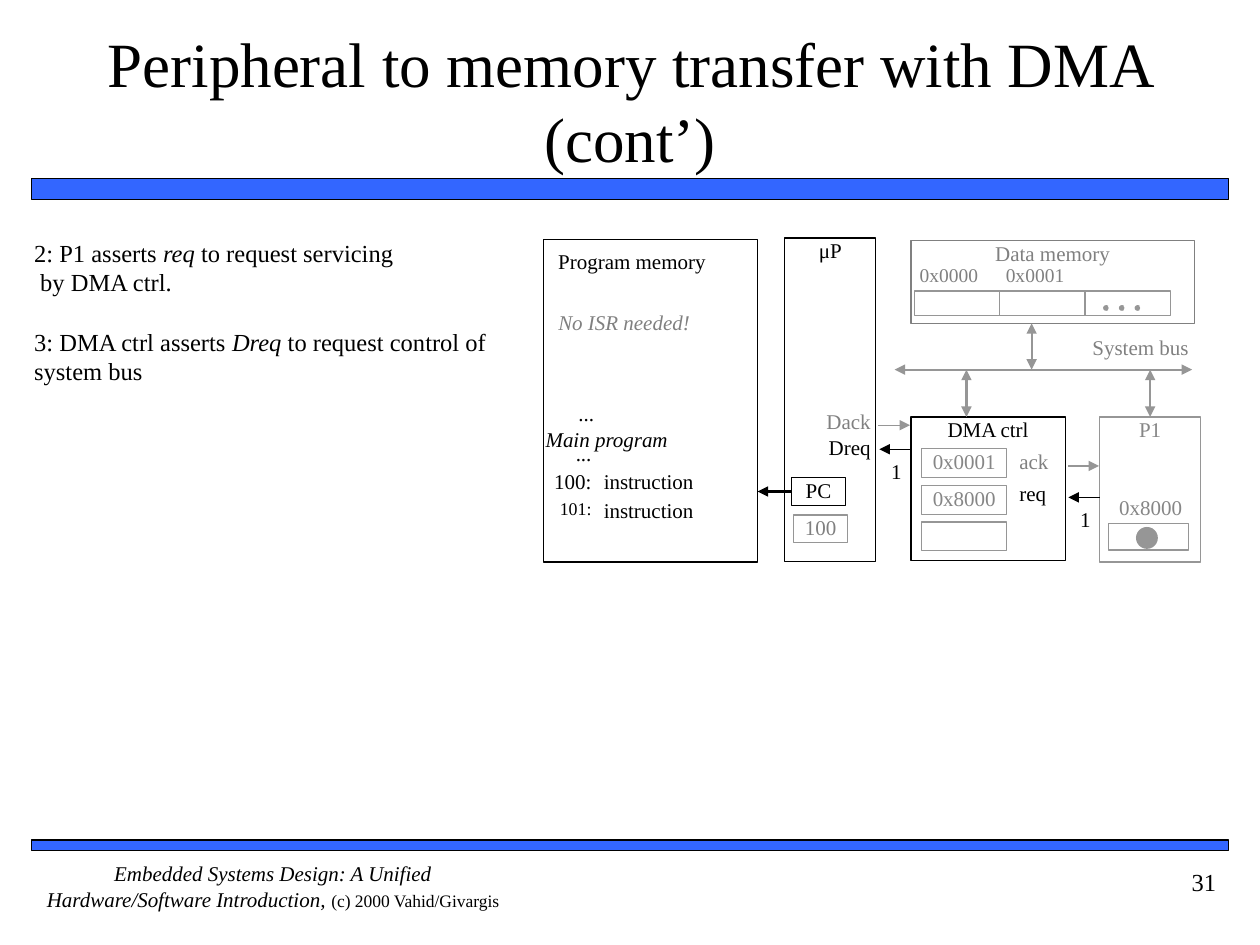
from dataclasses import dataclass

from lxml.etree import SubElement
from pptx import Presentation
from pptx.dml.color import RGBColor
from pptx.enum.dml import MSO_LINE
from pptx.enum.shapes import MSO_CONNECTOR, MSO_SHAPE
from pptx.enum.text import MSO_ANCHOR, PP_ALIGN
from pptx.oxml.ns import qn
from pptx.util import Pt


@dataclass(frozen=True)
class Theme:
    font: str = "Times New Roman"
    ink: RGBColor = RGBColor(0, 0, 0)
    paper: RGBColor = RGBColor(255, 255, 255)
    bar: RGBColor = RGBColor(0x33, 0x66, 0xFF)
    muted: RGBColor = RGBColor(0x80, 0x80, 0x80)
    value: RGBColor = RGBColor(0x86, 0x86, 0x86)
    rule: RGBColor = RGBColor(0x96, 0x96, 0x96)
    title: float = 36
    body: float = 14
    label: float = 12
    address: float = 11.1
    credit: float = 10
    line_number: float = 10.2
    thin: float = 0.75
    thick: float = 1.25


theme = Theme()
LEFT, CENTER, RIGHT = PP_ALIGN.LEFT, PP_ALIGN.CENTER, PP_ALIGN.RIGHT

deck = Presentation()
deck.slide_width, deck.slide_height = Pt(720), Pt(540)
slide = deck.slides.add_slide(deck.slide_layouts[6])
shapes = slide.shapes


def write(shape, paragraphs, align=LEFT, size=theme.label, color=theme.ink):
    """Fill a shape with paragraphs, each a list of (text, font overrides)."""
    frame = shape.text_frame
    frame_format = {"word_wrap": True, "vertical_anchor": MSO_ANCHOR.TOP,
                    "margin_left": 0, "margin_right": 0,
                    "margin_top": 0, "margin_bottom": 0}
    for name, setting in frame_format.items():
        setattr(frame, name, setting)
    for index, runs in enumerate(paragraphs):
        paragraph = frame.add_paragraph() if index else frame.paragraphs[0]
        paragraph.alignment = align
        for text, overrides in runs:
            run = paragraph.add_run()
            run.text = text
            font_format = {"name": theme.font, "size": Pt(size), **overrides}
            for name, setting in font_format.items():
                setattr(run.font, name, setting)
            run.font.color.rgb = color
    return frame


def arrow(start, end, color, weight, both_ends=False):
    connector = shapes.add_connector(MSO_CONNECTOR.STRAIGHT, *map(Pt, start + end))
    connector.line.color.rgb = color
    connector.line.width = Pt(weight)
    outline = connector.line._get_or_add_ln()
    for end_tag in ("a:headEnd", "a:tailEnd") if both_ends else ("a:tailEnd",):
        SubElement(outline, qn(end_tag), type="triangle")
    SubElement(connector._element.spPr, qn("a:effectLst"))
    return connector


# Title, notes and footer
italic = {"italic": True}
title_area = shapes.add_textbox(Pt(30), Pt(12), Pt(660), Pt(90))
write(title_area, [[("Peripheral to memory transfer with DMA (cont’)", {})]],
      CENTER, theme.title).vertical_anchor = MSO_ANCHOR.MIDDLE

steps = write(shapes.add_textbox(Pt(19.5), Pt(136), Pt(262), Pt(96.5)), [
    [("2: P1 asserts ", {}), ("req", italic), (" to request servicing", {})],
    [("by DMA ctrl.", {})],
    [("3: DMA ctrl asserts ", {}), ("Dreq", italic),
     (" to request control of system bus", {})],
], size=theme.body)
steps.paragraphs[1]._p.get_or_add_pPr().set("marL", str(Pt(3.5)))
steps.paragraphs[2].space_before = Pt(17)

write(shapes.add_textbox(Pt(18), Pt(492), Pt(276), Pt(36)), [[
    ("Embedded Systems Design: A Unified Hardware/Software Introduction, ", italic),
    ("(c) 2000 Vahid/Givargis", {"size": Pt(theme.credit)}),
]], CENTER)
write(shapes.add_textbox(Pt(637), Pt(495.5), Pt(58), Pt(29)), [[("31", {})]],
      RIGHT, theme.body)

# Boxes: left, top, width, height, fill, outline, text, text colour
boxes = [
    (18, 102, 684, 12, theme.bar, theme.ink, "", None),
    (18, 480, 684, 6, theme.bar, theme.ink, "", None),
    (520.5, 137.5, 162, 47.25, None, theme.muted, "Data memory", theme.muted),
    (448.5, 136, 52, 185, theme.paper, theme.ink, "μP", theme.ink),
    (310.5, 136.75, 122.25, 184.5, theme.paper, theme.ink, "", None),
    (520.5, 238.25, 88.25, 82.25, theme.paper, theme.ink, "DMA ctrl", theme.ink),
    (628.5, 238.25, 57.5, 83, None, theme.rule, "P1", theme.value),
    (633.5, 299.25, 45.5, 15, theme.paper, theme.rule, "", None),
    (452.25, 272.75, 31, 16.25, theme.paper, theme.ink, "PC", theme.ink),
    (453.5, 294.25, 31, 16, theme.paper, theme.rule, "100", theme.muted),
]
boxes += [(522.5 + 48.75 * cell, 166.25, 48.75, 14.25, None, theme.rule, "", None)
          for cell in range(3)]
boxes += [(526.75, 256.5 + 20.9 * row, 48.5, 16.5, None, theme.rule, register, theme.value)
          for row, register in enumerate(("0x0001", "0x8000", ""))]
blocks = {}
for left, top, width, height, fill, outline, text, color in boxes:
    block = shapes.add_shape(MSO_SHAPE.RECTANGLE, *map(Pt, (left, top, width, height)))
    block.shadow.inherit = False
    if fill is None:
        block.fill.background()
    else:
        block.fill.solid()
        block.fill.fore_color.rgb = fill
    block.line.color.rgb = outline
    block.line.width = Pt(theme.thin)
    if text:
        write(block, [[(text, {})]], CENTER, color=color)
        blocks[text] = block

# Ellipsis in data memory, and the data item waiting in P1
dots = [(630.75 + 9 * step, 174.75, 2.75, 2.5, MSO_LINE.DASH) for step in range(3)]
for left, top, width, height, dash in dots + [(649.5, 301.5, 11.75, 11.75, MSO_LINE.SOLID)]:
    dot = shapes.add_shape(MSO_SHAPE.OVAL, *map(Pt, (left, top, width, height)))
    dot.shadow.inherit = False
    dot.fill.solid()
    dot.fill.fore_color.rgb = dot.line.color.rgb = theme.rule
    dot.line.width = Pt(theme.thin)
    dot.line.dash_style = dash

# Labels: text, left, top, width, height, alignment, colour, font overrides
labels = [
    ("Program memory", 319, 142, 113, 18.5, LEFT, theme.ink, {}),
    ("No ISR needed!", 319, 177, 106, 16, LEFT, theme.muted, italic),
    ("...", 319, 229, 20.5, 15, RIGHT, theme.ink, {}),
    ("Main program", 311.75, 243.5, 96, 18, LEFT, theme.ink, italic),
    ("...", 317.5, 252, 20.5, 14.5, RIGHT, theme.ink, {}),
    ("100:", 304, 268, 34, 15, RIGHT, theme.ink, {}),
    ("101:", 309, 284.5, 29, 13, RIGHT, theme.ink, {"size": Pt(theme.line_number)}),
    ("instruction", 345, 268, 74, 18, LEFT, theme.ink, {}),
    ("instruction", 345, 284.5, 74, 14.5, LEFT, theme.ink, {}),
    ("0x0000", 525.5, 150.5, 47, 14.5, LEFT, theme.muted, {"size": Pt(theme.address)}),
    ("0x0001", 574.75, 150.5, 47, 14.5, LEFT, theme.muted, {"size": Pt(theme.address)}),
    ("System bus", 615, 191, 73.5, 23, CENTER, theme.muted, {}),
    ("Dack", 463, 233.5, 34.5, 18.5, RIGHT, theme.muted, {}),
    ("Dreq", 463, 248.5, 34.5, 18.5, RIGHT, theme.ink, {}),
    ("1", 504, 262, 16.5, 14.5, CENTER, theme.ink, {}),
    ("ack", 582.5, 256.5, 25, 19.5, LEFT, theme.muted, {}),
    ("req", 582.5, 274.5, 25, 19.5, LEFT, theme.ink, {}),
    ("1", 612, 289.5, 16.5, 14.5, CENTER, theme.ink, {}),
    ("0x8000", 634.5, 282.5, 46, 16, CENTER, theme.value, {}),
]
for text, left, top, width, height, align, color, overrides in labels:
    label = shapes.add_textbox(*map(Pt, (left, top, width, height)))
    write(label, [[(text, overrides)]], align, color=color)

# System bus and its branches
bus_y = 211.25
arrow((511.25, bus_y), (681.25, bus_y), theme.rule, theme.thick, both_ends=True)
arrow((589.5, 184.75), (589.5, bus_y), theme.rule, theme.thick, both_ends=True)
arrow((552.25, bus_y), (552.25, 238.25), theme.rule, theme.thick, both_ends=True)
p1_branch = arrow((657.25, bus_y), (657.25, 238.25), theme.rule, theme.thick, both_ends=True)
p1_branch.end_connect(blocks["P1"], 0)

# Program counter and handshake signals
fetch = arrow((452.25, 280.88), (433, 280.88), theme.ink, theme.thick)
fetch.begin_connect(blocks["PC"], 1)
for signal_start, signal_end, y, color in [
    (502, 520, 243, theme.rule),
    (520, 502.5, 256.75, theme.ink),
    (610.5, 628, 266.25, theme.rule),
    (628.5, 610.5, 284.25, theme.ink),
]:
    arrow((signal_start, y), (signal_end, y), color, theme.thin)

deck.save("out.pptx")
